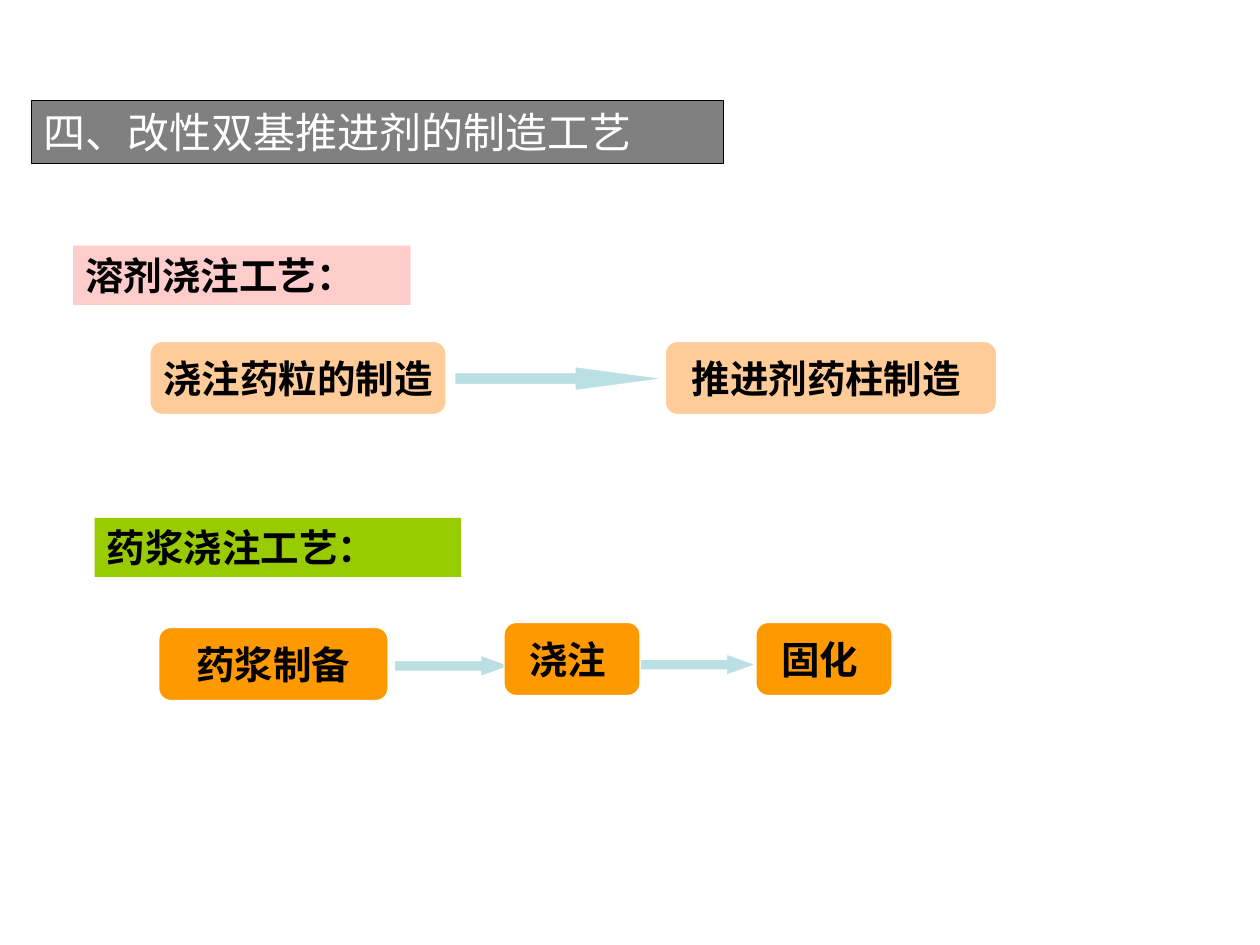
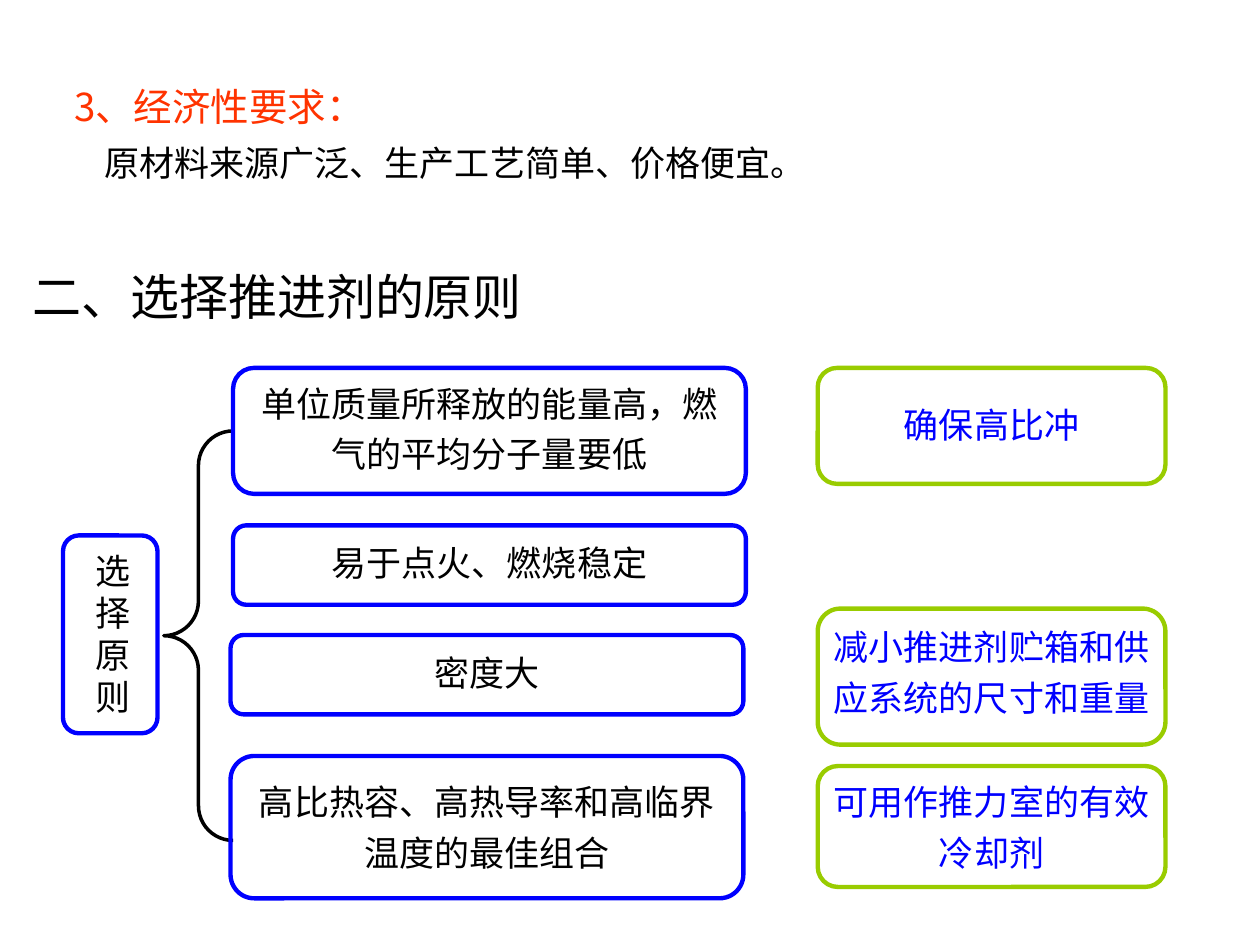
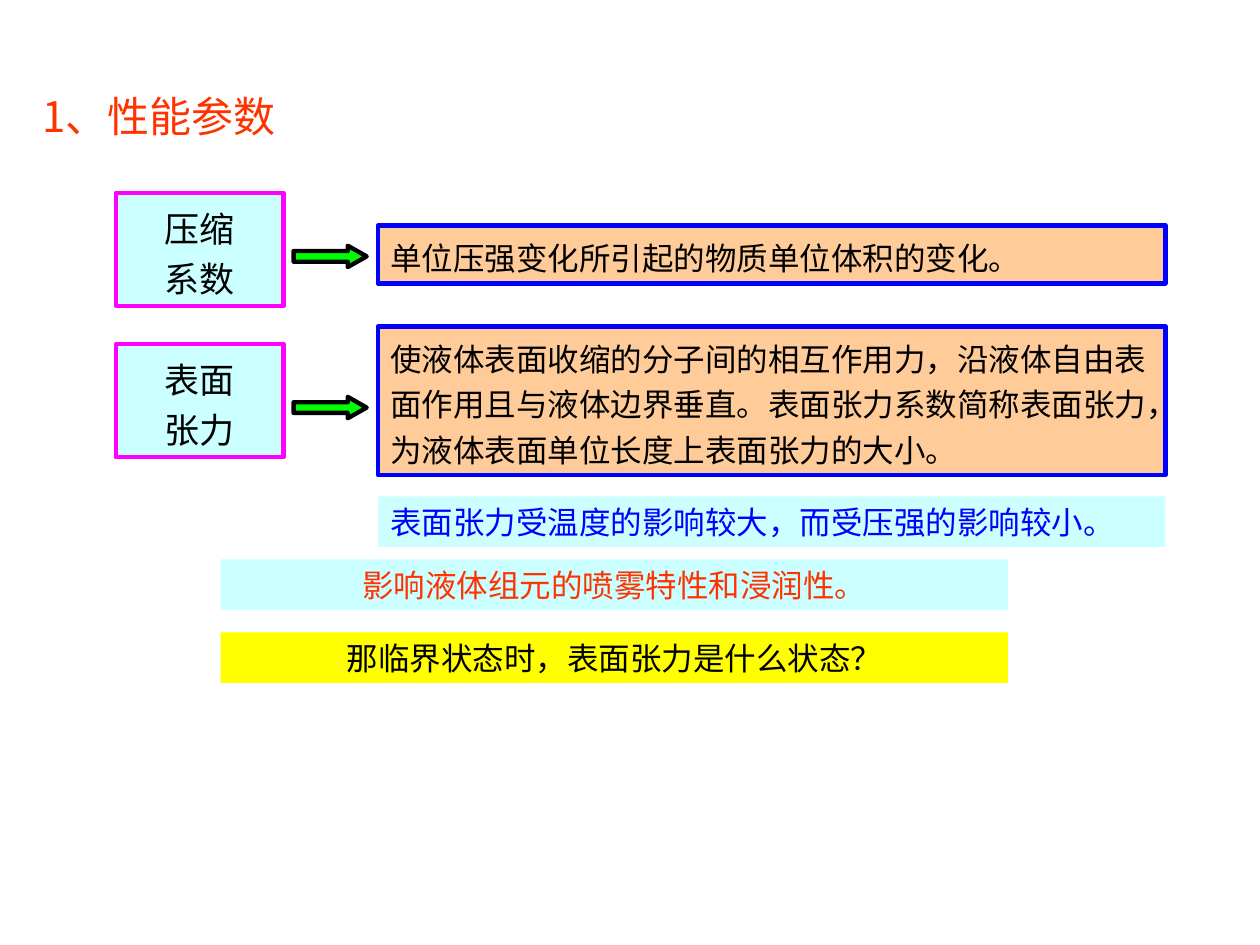
from dataclasses import dataclass
from typing import NamedTuple, Optional

from lxml import etree
from pptx import Presentation
from pptx.dml.color import RGBColor
from pptx.enum.shapes import MSO_SHAPE
from pptx.enum.text import MSO_ANCHOR, MSO_AUTO_SIZE, PP_ALIGN
from pptx.oxml.ns import qn
from pptx.util import Inches, Pt

RECT = MSO_SHAPE.RECTANGLE
ROUNDED = MSO_SHAPE.ROUNDED_RECTANGLE
ARROW = MSO_SHAPE.RIGHT_ARROW
BRACE = MSO_SHAPE.LEFT_BRACE
LEFT, CENTER = PP_ALIGN.LEFT, PP_ALIGN.CENTER
TOP, MIDDLE = MSO_ANCHOR.TOP, MSO_ANCHOR.MIDDLE
GROW, FIXED = MSO_AUTO_SIZE.SHAPE_TO_FIT_TEXT, MSO_AUTO_SIZE.NONE

# The slide is a grid of 100 columns by 75 rows
COLUMNS, ROWS = 100, 75
SLIDE_W, SLIDE_H = Inches(10), Inches(7.5)


@dataclass(frozen=True)
class Theme:
    font: str = "Noto Sans CJK SC"
    black: str = "000000"
    white: str = "FFFFFF"
    gray: str = "808080"
    pink: str = "FFCCCC"
    peach: str = "FFCC99"
    orange: str = "FF9900"
    lime: str = "99CC00"
    teal: str = "BBE0E3"
    cyan: str = "CCFFFF"
    yellow: str = "FFFF00"
    green: str = "00FF00"
    magenta: str = "FF00FF"
    blue: str = "0000FF"
    red: str = "FF3300"
    heading: float = 28
    title: float = 24
    label: float = 22
    body: float = 20
    note: float = 18
    thin: float = 0.75
    brace: float = 2
    thick: float = 2.5


THEME = Theme()


class Box(NamedTuple):
    col: float
    row: float
    cols: float
    rows: float


@dataclass(frozen=True)
class Look:
    fill: Optional[str] = None
    line: Optional[str] = None
    weight: float = THEME.thin


@dataclass(frozen=True)
class Type:
    size: float
    color: str = THEME.black
    bold: bool = False
    align: PP_ALIGN = LEFT
    spacing: float = 1.0


class Step(NamedTuple):
    text: str
    box: Box
    shift: float = 0  # extra right inset, in columns


class Process(NamedTuple):
    label: str
    label_box: Box
    label_fill: str
    step_fill: str
    steps: list[Step]
    arrows: list[Box]
    head: float


class Principle(NamedTuple):
    text: str
    frame: Box
    text_row: float
    spacing: float = 1.2


class Term(NamedTuple):
    name: str
    row: float
    meaning: str
    meaning_row: float
    meaning_rows: float


# Drawing
def across(columns: float) -> int:
    return round(SLIDE_W * columns / COLUMNS)


def down(rows: float) -> int:
    return round(SLIDE_H * rows / ROWS)


def place(box: Box) -> tuple[int, int, int, int]:
    return across(box.col), down(box.row), across(box.cols), down(box.rows)


def write(shape, text: str, kind: Type, grow: bool = True):
    frame = shape.text_frame
    frame.word_wrap = grow
    frame.auto_size = GROW if grow else FIXED
    frame.vertical_anchor = TOP if grow else MIDDLE
    frame.text = text
    for paragraph in frame.paragraphs:
        paragraph.alignment = kind.align
        paragraph.line_spacing = kind.spacing
        for run in paragraph.runs:
            run.font.size = Pt(kind.size)
            run.font.bold = kind.bold
            run.font.color.rgb = RGBColor.from_string(kind.color)
            run.font.name = THEME.font
            east_asian = etree.SubElement(run._r.get_or_add_rPr(), qn("a:ea"))
            east_asian.set("typeface", THEME.font)
    return frame


def draw(slide, preset: MSO_SHAPE, box: Box, look: Look,
         adjustments: tuple[float, ...] = ()):
    shape = slide.shapes.add_shape(preset, *place(box))
    shape.shadow.inherit = False
    for index, value in enumerate(adjustments):
        shape.adjustments[index] = value
    if look.fill:
        shape.fill.solid()
        shape.fill.fore_color.rgb = RGBColor.from_string(look.fill)
    else:
        shape.fill.background()
    if look.line:
        shape.line.color.rgb = RGBColor.from_string(look.line)
        shape.line.width = Pt(look.weight)
    else:
        shape.line.fill.background()
    return shape


def panel(slide, text: str, box: Box, look: Look, kind: Type) -> None:
    write(draw(slide, RECT, box, look), text, kind)


def caption(slide, text: str, box: Box, kind: Type):
    return write(slide.shapes.add_textbox(*place(box)), text, kind)


# Slide 1: manufacturing processes
PROCESSES = [
    Process("溶剂浇注工艺：", Box(5.8, 19.5, 26.8, 4.7), THEME.pink, THEME.peach,
            [Step("浇注药粒的制造", Box(11.9, 27.1, 23.5, 5.8)),
             Step("推进剂药柱制造", Box(52.8, 27.1, 26.3, 5.8), 0.7)],
            [Box(36.1, 29.1, 16.7, 1.9)], 3.77),
    Process("药浆浇注工艺：", Box(7.5, 41.1, 29.1, 4.7), THEME.lime, THEME.orange,
            [Step("药浆制备", Box(12.6, 49.8, 18.2, 5.8)),
             Step("浇注", Box(40, 49.4, 10.8, 5.8), 0.7),
             Step("固化", Box(60, 49.4, 10.8, 5.8), 0.7)],
            [Box(31.3, 52, 9.2, 1.7), Box(50.8, 51.9, 9.2, 1.7)], 1.38),
]


def processes_slide(slide) -> None:
    panel(slide, "四、改性双基推进剂的制造工艺", Box(2.5, 8, 54.9, 5),
          Look(THEME.gray, THEME.black), Type(THEME.title, THEME.white))
    step_type = Type(THEME.label, bold=True, align=CENTER)
    for process in PROCESSES:
        panel(slide, process.label, process.label_box, Look(process.label_fill),
              Type(THEME.label, bold=True))
        for arrow in process.arrows:
            draw(slide, ARROW, arrow, Look(THEME.teal, THEME.white),
                 (0.5, process.head))
        for step in process.steps:
            shape = draw(slide, ROUNDED, step.box,
                         Look(process.step_fill, THEME.white))
            frame = write(shape, step.text, step_type, grow=False)
            frame.margin_right = across(1 + step.shift)


# Slide 2: principles of selection
PRINCIPLES = [
    Principle("单位质量所释放的能量高，燃气的平均分子量要低",
              Box(18.5, 29.2, 40.7, 10), 29.2),
    Principle("易于点火、燃烧稳定", Box(18.5, 41.7, 40.7, 6.3), 42.5, 1.0),
    Principle("密度大", Box(18.3, 50.4, 40.7, 6.3), 51.2, 1.0),
    Principle("高比热容、高热导率和高临界温度的最佳组合",
              Box(18.3, 60, 40.7, 11.3), 60.8),
]
BENEFITS = [
    Principle("确保高比冲", Box(64.9, 29.2, 27.6, 9.2), 31.5, 1.0),
    Principle("减小推进剂贮箱和供应系统的尺寸和重量",
              Box(64.9, 48.3, 27.6, 10.8), 48.5),
    Principle("可用作推力室的有效冷却剂", Box(64.9, 60.8, 27.6, 9.6), 60.8),
]


def principles_slide(slide) -> None:
    economy = caption(slide, "3、经济性要求：\n原材料来源广泛、生产工艺简单、价格便宜。",
                      Box(4.9, 5, 82.5, 10.1),
                      Type(THEME.label, THEME.red, spacing=1.3))
    detail = economy.paragraphs[1]
    detail._p.get_or_add_pPr().set("marL", str(across(2.4)))
    for run in detail.runs:
        run.font.size = Pt(THEME.body)
        run.font.color.rgb = RGBColor.from_string(THEME.black)
    caption(slide, "二、选择推进剂的原则", Box(1.6, 19.3, 89.2, 7.1),
            Type(THEME.heading, spacing=1.3))

    # Root of the tree and its brace
    caption(slide, "选择原则", Box(6.6, 43.1, 5.1, 14.4), Type(THEME.body))
    draw(slide, ROUNDED, Box(5, 42.5, 7.5, 15.7),
         Look(line=THEME.blue, weight=THEME.thick))
    draw(slide, BRACE, Box(13, 34.2, 5.5, 32.5),
         Look(line=THEME.black, weight=THEME.brace), (0.5, 0.5))

    # Principles on the left, benefits on the right
    for group, line, ink in ((PRINCIPLES, THEME.blue, THEME.black),
                             (BENEFITS, THEME.lime, THEME.blue)):
        for item in group:
            text_rows = 9 if item.spacing > 1 else 4.4
            text_box = item.frame._replace(row=item.text_row, rows=text_rows)
            caption(slide, item.text, text_box,
                    Type(THEME.body, ink, align=CENTER, spacing=item.spacing))
            draw(slide, ROUNDED, item.frame, Look(line=line, weight=THEME.thick))


# Slide 3: performance parameters
TERMS = [
    Term("压缩\n系数", 15.3, "单位压强变化所引起的物质单位体积的变化。", 17.9, 4.6),
    Term("表面\n张力", 27.3,
         "使液体表面收缩的分子间的相互作用力，沿液体自由表面作用且与液体边界垂直。"
         "表面张力系数简称表面张力，为液体表面单位长度上表面张力的大小。", 25.9, 11.8),
]
REMARKS = [
    ("表面张力受温度的影响较大，而受压强的影响较小。", 30, 39.4,
     THEME.cyan, THEME.blue, LEFT),
    ("影响液体组元的喷雾特性和浸润性。", 17.5, 44.4,
     THEME.cyan, THEME.red, CENTER),
    ("那临界状态时，表面张力是什么状态？", 17.5, 50.2,
     THEME.yellow, THEME.black, CENTER),
]
TEXT_COLS = 62.5


def parameters_slide(slide) -> None:
    caption(slide, "1、性能参数", Box(2.4, 5.5, 82.5, 6.2),
            Type(THEME.title, THEME.red, spacing=1.3))
    for term in TERMS:
        panel(slide, term.name, Box(9.2, term.row, 13.3, 9),
              Look(THEME.cyan, THEME.magenta, THEME.thick),
              Type(THEME.body, align=CENTER, spacing=1.2))
        draw(slide, ARROW, Box(23.3, term.row + 4.2, 5.8, 1.7),
             Look(THEME.green, THEME.black, THEME.thick), (0.5, 0.88))
        panel(slide, term.meaning,
              Box(30, term.meaning_row, TEXT_COLS, term.meaning_rows),
              Look(THEME.peach, THEME.blue, THEME.thick),
              Type(THEME.note, spacing=1.2))
    for text, col, row, fill, ink, align in REMARKS:
        panel(slide, text, Box(col, row, TEXT_COLS, 4), Look(fill),
              Type(THEME.note, ink, align=align))


def main() -> None:
    deck = Presentation()
    deck.slide_width, deck.slide_height = SLIDE_W, SLIDE_H
    blank = deck.slide_layouts[6]
    for build in (processes_slide, principles_slide, parameters_slide):
        build(deck.slides.add_slide(blank))
    deck.save("out.pptx")


if __name__ == "__main__":
    main()
